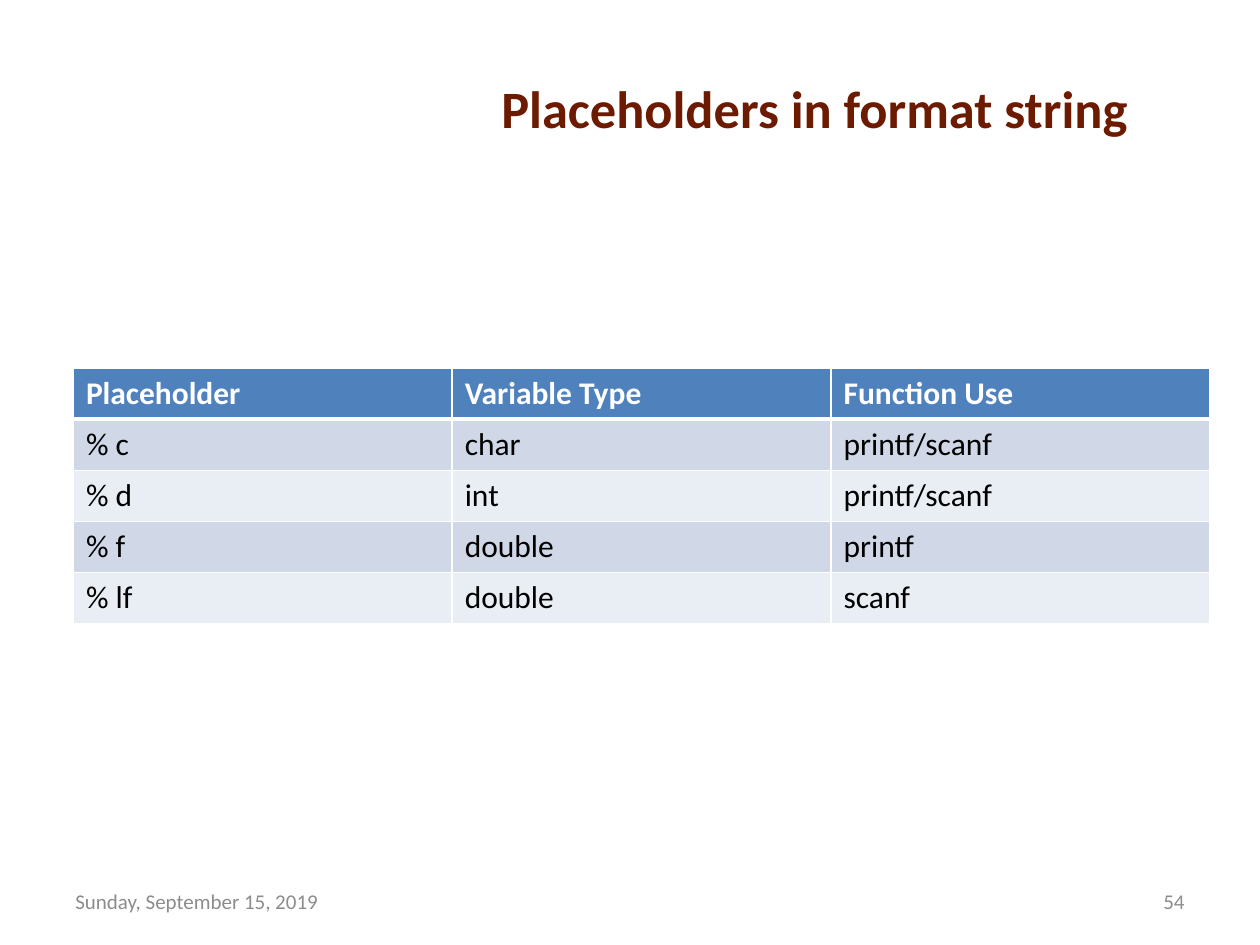
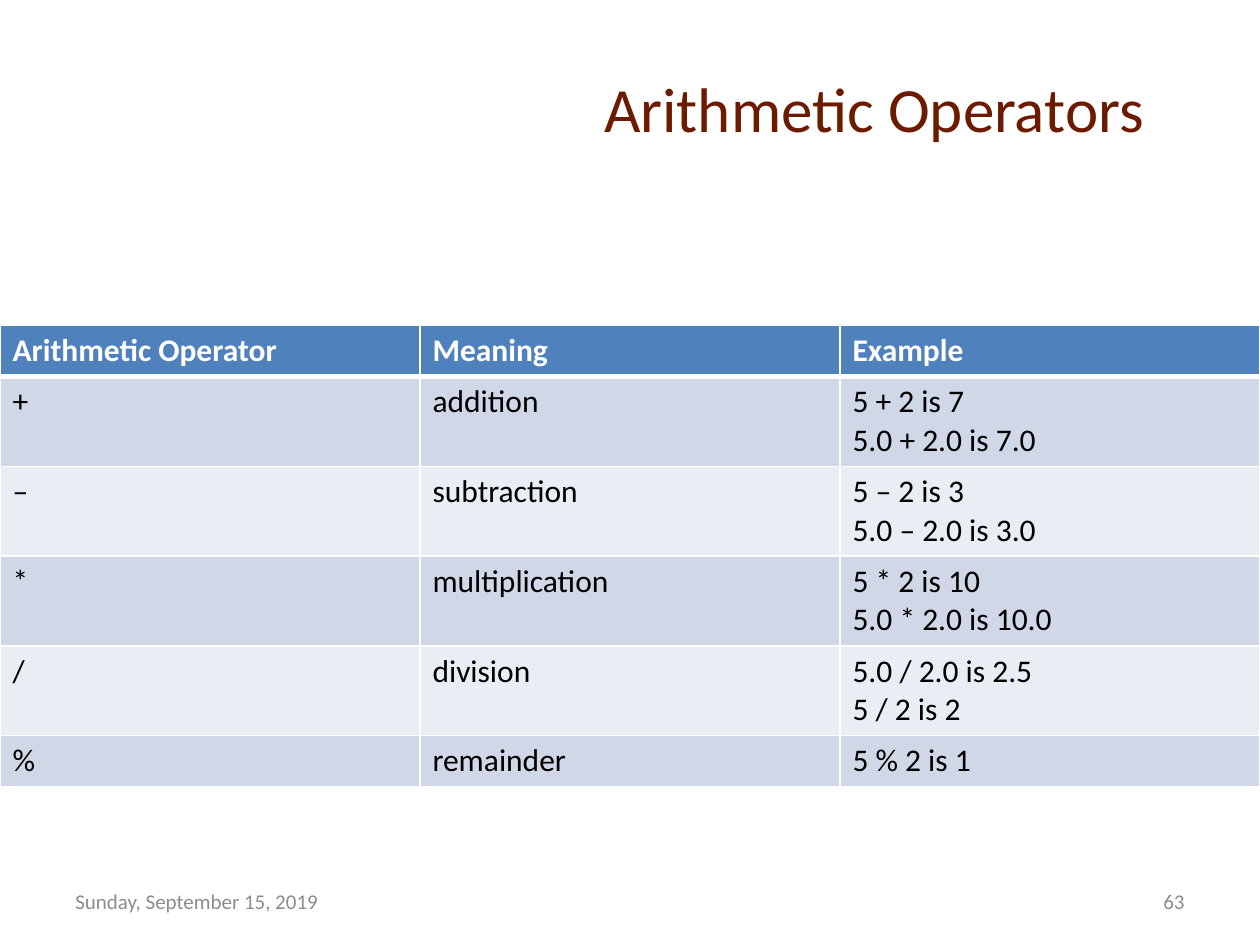
from lxml import etree
from pptx import Presentation
from pptx.dml.color import RGBColor
from pptx.enum.text import MSO_ANCHOR as Anchor, MSO_AUTO_SIZE as AutoSize, PP_ALIGN as Align
from pptx.oxml.ns import qn
from pptx.util import Cm, Pt

COLORS = {
    "title": "6C1A00",
    "header": "4F81BD",
    "odd_row": "D0D8E8",
    "even_row": "E9EDF4",
    "border": "FFFFFF",
    "header_text": "FFFFFF",
    "body_text": "000000",
    "footer": "8C8C8C",
}
FONT = "Calibri"
DATE = "Sunday, September 15, 2019"
ROW_HEIGHT, EXTRA_LINE = 1.03, 0.78

PLACEHOLDER_ROWS = [
    ("Placeholder", "Variable Type", "Function Use"),
    ("% c", "char", "printf/scanf"),
    ("% d", "int", "printf/scanf"),
    ("% f", "double", "printf"),
    ("% lf", "double", "scanf"),
]
OPERATOR_ROWS = [
    ("Arithmetic Operator", "Meaning", "Example"),
    ("+", "addition", "5 + 2 is 7\n5.0 + 2.0 is 7.0"),
    ("–", "subtraction", "5 – 2 is 3\n5.0 – 2.0 is 3.0"),
    ("*", "multiplication", "5 * 2 is 10\n5.0 * 2.0 is 10.0"),
    ("/", "division", "5.0 / 2.0 is 2.5\n5 / 2 is 2"),
    ("%", "remainder", "5 % 2 is 1"),
]


def write(frame, text, size, color, bold=False, align=Align.LEFT):
    """Put text in a frame and format every run of it."""
    frame.text = text
    frame.word_wrap = True
    for paragraph in frame.paragraphs:
        paragraph.alignment = align
        for run in paragraph.runs:
            run.font.name = FONT
            run.font.size = Pt(size)
            run.font.bold = bold
            run.font.color.rgb = RGBColor.from_string(COLORS[color])


def add_title(slide, text, size, bold, align):
    """Move and format the title placeholder."""
    title = slide.shapes.title
    title.left, title.top, title.width, title.height = Cm(9.53), Cm(1.04), Cm(13.79), Cm(2.26)
    write(title.text_frame, text, size, "title", bold, align)
    title.text_frame.auto_size = AutoSize.NONE
    title.text_frame.vertical_anchor = Anchor.MIDDLE


def add_footer_text(slide, left, text, align):
    """Add one grey text of the footer line."""
    box = slide.shapes.add_textbox(Cm(left), Cm(17.65), Cm(5.92), Cm(1.02))
    write(box.text_frame, text, 12, "footer", align=align)
    box.text_frame.vertical_anchor = Anchor.MIDDLE


def set_borders(cell, top, bottom):
    """Draw the four cell borders, with the given top and bottom widths in points."""
    properties = cell._tc.get_or_add_tcPr()
    for side, width in (("L", 1), ("R", 1), ("T", top), ("B", bottom)):
        line = etree.SubElement(properties, qn(f"a:ln{side}"), w=str(Pt(width)))
        fill = etree.SubElement(line, qn("a:solidFill"))
        etree.SubElement(fill, qn("a:srgbClr"), val=COLORS["border"])


def add_banded_table(slide, left, top, width, rows):
    """Add a table with a header row and alternating row fills."""
    heights = [Cm(ROW_HEIGHT + EXTRA_LINE * max(text.count("\n") for text in row)) for row in rows]
    table = slide.shapes.add_table(
        len(rows), len(rows[0]), Cm(left), Cm(top), Cm(width), sum(heights)).table
    for row_index, texts in enumerate(rows):
        table.rows[row_index].height = heights[row_index]
        is_header = row_index == 0
        band = "header" if is_header else "odd_row" if row_index % 2 else "even_row"
        for column_index, text in enumerate(texts):
            cell = table.cell(row_index, column_index)
            set_borders(cell, 3 if row_index == 1 else 1, 3 if is_header else 1)
            cell.fill.solid()
            cell.fill.fore_color.rgb = RGBColor.from_string(COLORS[band])
            write(cell.text_frame, text, 18, "header_text" if is_header else "body_text", is_header)


def add_page(deck, number):
    """Add a title-only slide with its date and page number."""
    slide = deck.slides.add_slide(deck.slide_layouts[5])
    add_footer_text(slide, 18.21, str(number), Align.RIGHT)
    add_footer_text(slide, 1.27, DATE, Align.LEFT)
    return slide


def main():
    """Build both slides and save the deck."""
    deck = Presentation()
    deck.slide_width, deck.slide_height = Cm(25.4), Cm(19.05)

    placeholders = add_page(deck, 54)
    add_title(placeholders, "Placeholders in format string", 30, True, Align.CENTER)
    add_banded_table(placeholders, 1.48, 7.42, 22.91, PLACEHOLDER_ROWS)

    operators = add_page(deck, 63)
    add_title(operators, "Arithmetic Operators", 36, False, Align.RIGHT)
    add_banded_table(operators, 0, 6.56, 25.4, OPERATOR_ROWS)

    deck.save("out.pptx")


if __name__ == "__main__":
    main()
